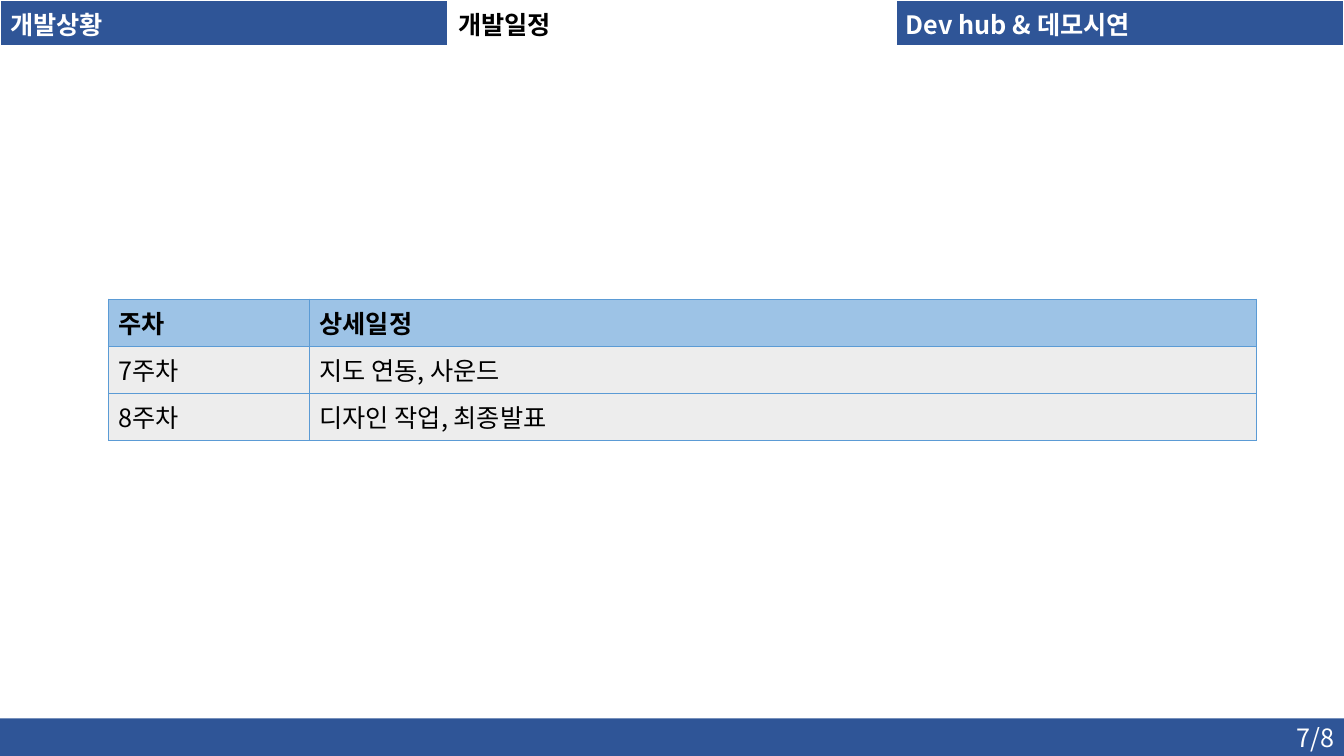
from dataclasses import dataclass

from lxml import etree
from pptx import Presentation
from pptx import util as u
from pptx.dml.color import RGBColor
from pptx.enum import shapes, text
from pptx.oxml import ns


@dataclass(frozen=True)
class Theme:
    font: str = "Noto Sans CJK KR"
    size: int = 18
    navy: str = "2F5597"
    white: str = "FFFFFF"
    black: str = "000000"
    head: str = "9DC3E6"
    body: str = "EDEDED"
    grid: str = "5B9BD5"


T = Theme()
SLIDE_W, SLIDE_H = 33.87, 19.05
TABS = ["개발상황", "개발일정", "Dev hub & 데모시연"]
CURRENT_TAB = 1
SCHEDULE = [
    ("주차", "상세일정"),
    ("7주차", "지도 연동, 사운드"),
    ("8주차", "디자인 작업, 최종발표"),
]


def paint(fill, color):
    fill.solid()
    fill.fore_color.rgb = RGBColor.from_string(color)


def write(tf, words, color, bold=False, align=text.PP_ALIGN.LEFT):
    p = tf.paragraphs[0]
    p.alignment = align
    r = p.add_run()
    r.text = words
    for name, value in {"name": T.font, "size": u.Pt(T.size), "bold": bold}.items():
        setattr(r.font, name, value)
    r.font.color.rgb = RGBColor.from_string(color)
    ea = etree.SubElement(r.font._element, ns.qn("a:ea"))
    ea.set("typeface", T.font)


def set_borders(cell, color, widths):
    """Draw the cell's edges; widths are points for left, right, top, bottom."""
    tc_pr = cell._tc.get_or_add_tcPr()
    for i, (side, width) in enumerate(zip("LRTB", widths)):
        ln = etree.Element(ns.qn(f"a:ln{side}"), w=str(u.Pt(width)))
        solid = etree.SubElement(ln, ns.qn("a:solidFill"))
        etree.SubElement(solid, ns.qn("a:srgbClr"), val=color)
        tc_pr.insert(i, ln)


def add_grid(s, box, rows, col_widths, cell_style, border, widths):
    """Place a table; cell_style(row, col) gives fill, text colour and bold."""
    left, top, width, height = map(u.Cm, box)
    table = s.shapes.add_table(
        len(rows), len(col_widths), left, top, width, height).table
    for column, col_width in zip(table.columns, col_widths):
        column.width = u.Cm(col_width)
    for i, row in enumerate(rows):
        for j, words in enumerate(row):
            cell = table.cell(i, j)
            fill, color, bold = cell_style(i, j)
            paint(cell.fill, fill)
            set_borders(cell, border, widths)
            write(cell.text_frame, words, color, bold)


def add_tabs(s, box):
    def style(i, j):
        if j == CURRENT_TAB:
            return T.white, T.black, True
        return T.navy, T.white, True

    col_widths = [box[2] / len(TABS)] * len(TABS)
    add_grid(s, box, [TABS], col_widths, style, T.white, (1, 1, 1, 3))


def add_schedule(s, box):
    def style(i, j):
        return (T.body if i else T.head), T.black, i == 0

    week_w = 5.06
    add_grid(s, box, SCHEDULE, [week_w, box[2] - week_w], style, T.grid, (1,) * 4)


def add_footer(s, box, page):
    sp = s.shapes.add_shape(shapes.MSO_SHAPE.RECTANGLE, *map(u.Cm, box))
    sp.shadow.inherit = False
    paint(sp.fill, T.navy)
    sp.line.fill.background()
    sp.text_frame.vertical_anchor = text.MSO_ANCHOR.MIDDLE
    write(sp.text_frame, page, T.white, align=text.PP_ALIGN.RIGHT)


def main():
    prs = Presentation()
    prs.slide_width, prs.slide_height = u.Cm(SLIDE_W), u.Cm(SLIDE_H)
    s = prs.slides.add_slide(prs.slide_layouts[6])
    footer_h = 0.95
    add_footer(s, (0, SLIDE_H - footer_h, SLIDE_W, footer_h), "7/8")
    add_tabs(s, (0, 0, SLIDE_W, 1.03))
    add_schedule(s, (2.74, 7.54, 28.93, 3.56))
    prs.save("out.pptx")


if __name__ == "__main__":
    main()
